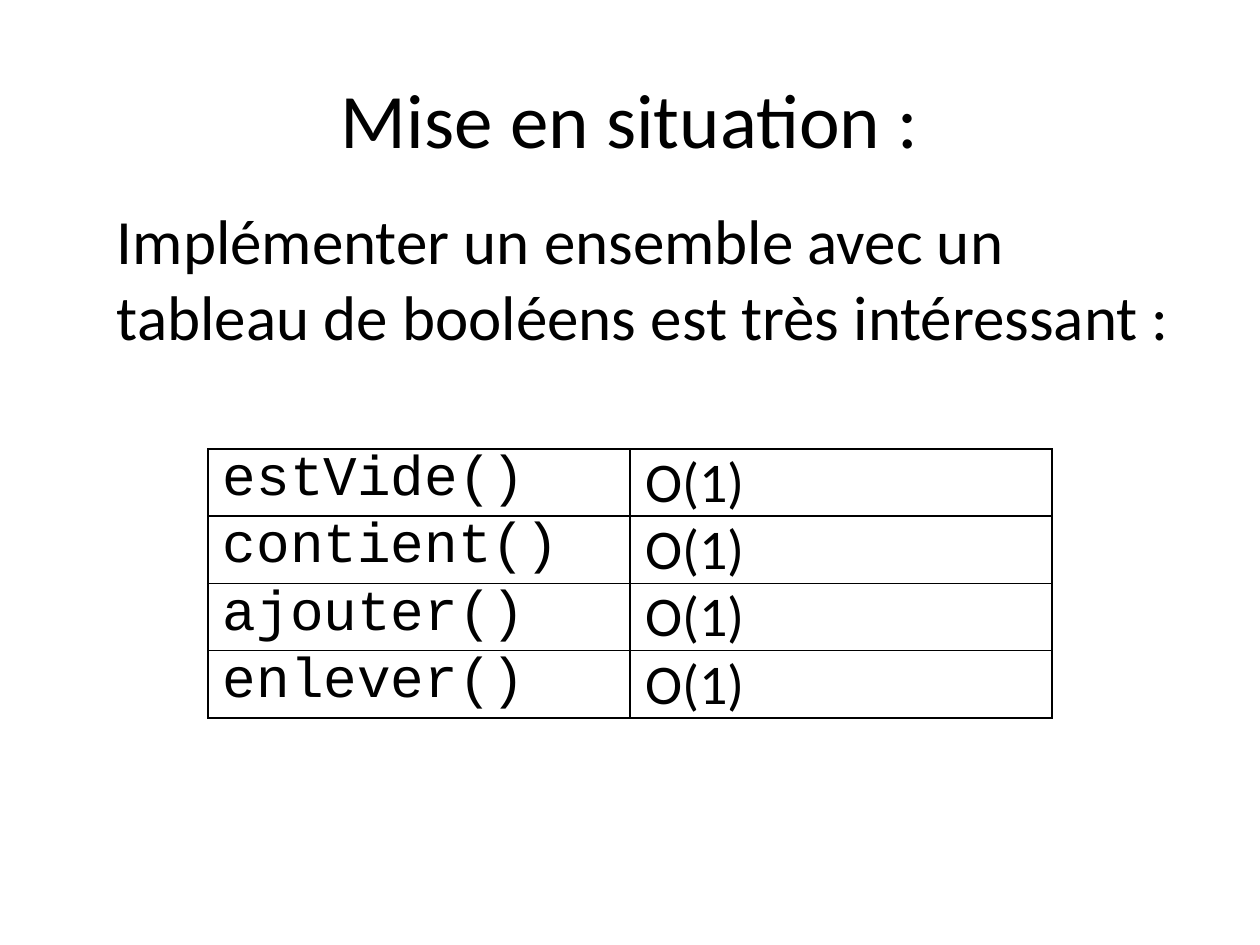
import pptx
import pptx.dml.color
import pptx.enum.text
import pptx.util
from lxml import etree
from pptx.oxml.ns import qn


def color(code):
    return pptx.dml.color.RGBColor.from_string(code)


class Deck:
    ink = "000000"
    sans = "Calibri"
    mono = "Courier New"

    def __init__(self, wide, high):
        self.prs = pptx.Presentation()
        self.prs.slide_width = pptx.util.Inches(wide)
        self.prs.slide_height = pptx.util.Inches(high)
        self.slide = self.prs.slides.add_slide(self.prs.slide_layouts[5])

    def box(self, left, top, wide, high):
        """Turn shares of the slide's size into lengths."""
        w, h = self.prs.slide_width, self.prs.slide_height
        return int(left * w), int(top * h), int(wide * w), int(high * h)

    def label(self, frame, text, size, face):
        frame.text = text
        para = frame.paragraphs[0]
        para.font.size = pptx.util.Pt(size)
        para.font.name = face
        para.font.color.rgb = color(self.ink)
        return para

    def title(self, text, *area):
        shape = self.slide.shapes.title
        shape.left, shape.top, shape.width, shape.height = self.box(*area)
        shape.text_frame.vertical_anchor = pptx.enum.text.MSO_ANCHOR.MIDDLE
        para = self.label(shape.text_frame, text, 44, self.sans)
        para.alignment = pptx.enum.text.PP_ALIGN.CENTER

    def text(self, text, *area):
        frame = self.slide.shapes.add_textbox(*self.box(*area)).text_frame
        frame.word_wrap = True
        frame.auto_size = pptx.enum.text.MSO_AUTO_SIZE.SHAPE_TO_FIT_TEXT
        self.label(frame, text, 36, self.sans)

    def border(self, cell):
        props = cell._tc.get_or_add_tcPr()
        for at, side in enumerate(("lnL", "lnR", "lnT", "lnB")):
            line = etree.Element(qn("a:" + side), w=str(int(pptx.util.Pt(1))))
            fill = etree.SubElement(line, qn("a:solidFill"))
            etree.SubElement(fill, qn("a:srgbClr"), val=self.ink)
            props.insert(at, line)

    def table(self, rows, *area):
        frame = self.slide.shapes.add_table(len(rows), len(rows[0]), *self.box(*area))
        table = frame.table
        table.first_row = table.horz_banding = False
        for r, row in enumerate(rows):
            for c, (text, face) in enumerate(zip(row, (self.mono, self.sans))):
                cell = table.cell(r, c)
                cell.margin_left = cell.margin_right = pptx.util.Inches(0.12)
                cell.margin_top = cell.margin_bottom = 0
                cell.fill.background()
                self.border(cell)
                self.label(cell.text_frame, text, 32, face)


def main():
    deck = Deck(10, 7.5)
    deck.title("Mise en situation :", 0.05, 0.04, 0.9, 0.17)
    deck.text("Implémenter un ensemble avec un tableau de booléens est très intéressant :",
              0.083, 0.207, 0.874, 0.175)
    names = ("estVide()", "contient()", "ajouter()", "enlever()")
    deck.table([(name, "O(1)") for name in names], 0.165, 0.475, 0.67, 0.284)
    deck.prs.save("out.pptx")


if __name__ == "__main__":
    main()
